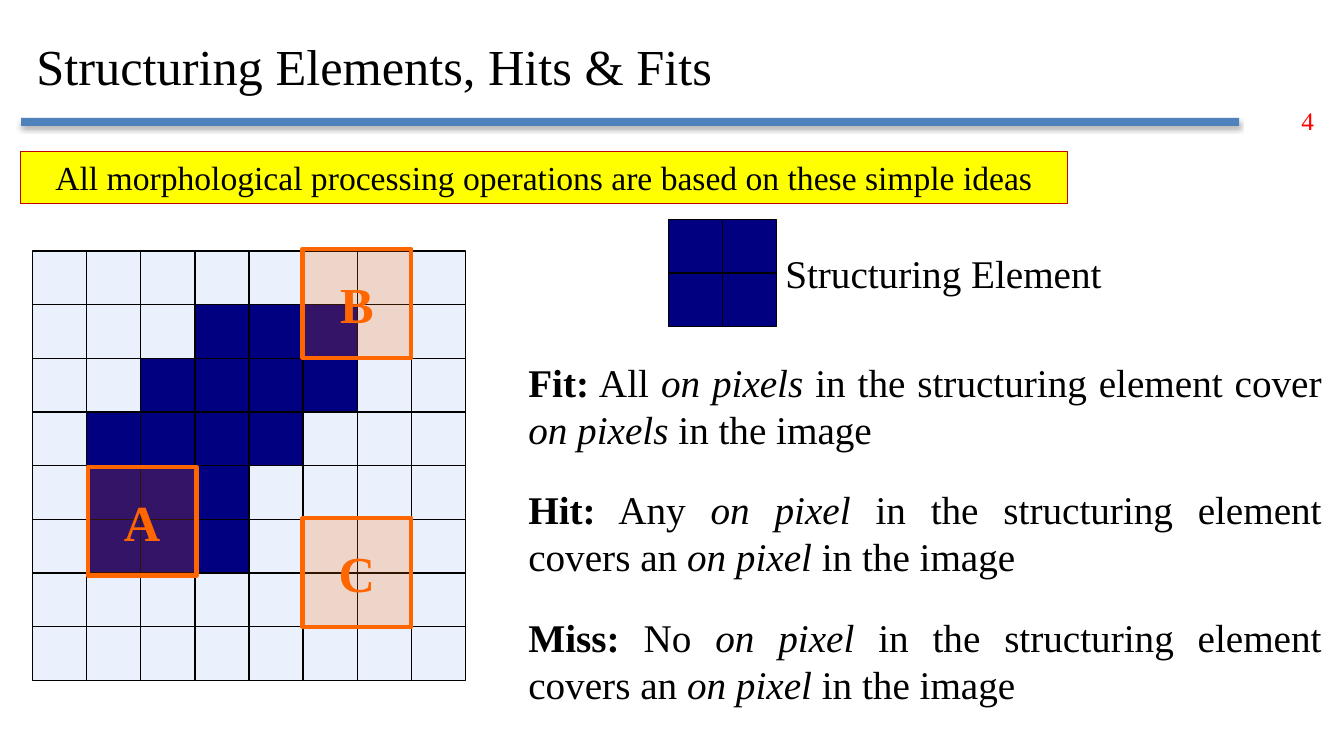
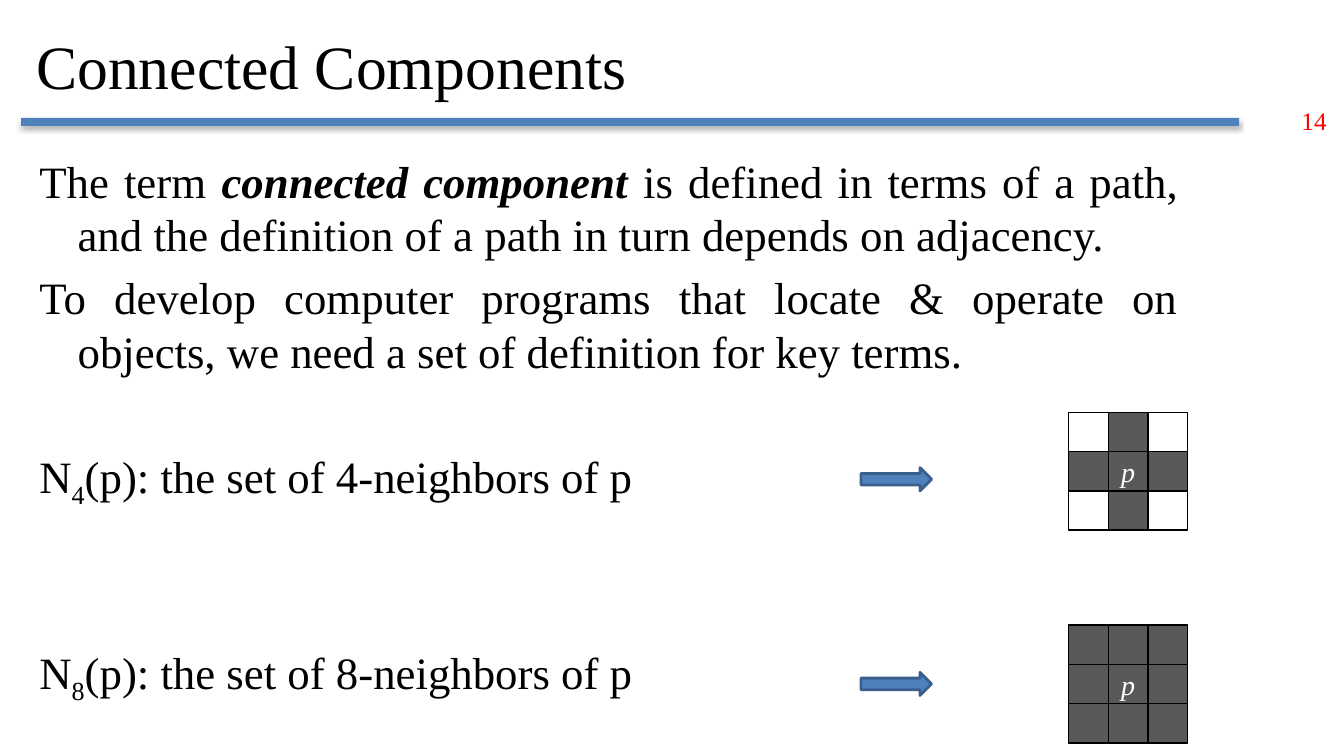
from lxml import etree
from pptx import Presentation
from pptx.dml.color import RGBColor
from pptx.enum.shapes import MSO_SHAPE as SHAPE
from pptx.enum.text import MSO_ANCHOR as ANCHOR, MSO_AUTO_SIZE as AUTO_SIZE, PP_ALIGN as ALIGN
from pptx.oxml import parse_xml
from pptx.oxml.ns import nsdecls, qn
from pptx.util import Inches, Pt

FONT = "Times New Roman"
BLACK, WHITE, RED, YELLOW = "000000", "FFFFFF", "FF0000", "FFFF00"
BLUE, DARK_BLUE = "4F81BD", "3A5F8C"
NAVY, PALE, ORANGE, GRAY = "000080", "EAF1FC", "FF6600", "595959"
BANNER_EDGE = "C00000"


def rgb(color):
    return RGBColor.from_string(color)


class Deck:
    """Holds the shared style and the slide being built."""

    def __init__(self):
        self.presentation = Presentation()
        self.presentation.slide_width = Inches(13.33)
        self.presentation.slide_height = Inches(7.5)
        self.slide = None

    def new_slide(self, heading, number, heading_size):
        """Start a slide with its title, shadowed rule and page number."""
        layout = self.presentation.slide_layouts[1]
        self.slide = self.presentation.slides.add_slide(layout)
        rule = self.shape(SHAPE.RECTANGLE, 0.21, 1.17, 12.08, 0.08, BLUE)
        self.add_shadow(rule)
        self.text(12.81, 1, 0.5, 0.4, number, 18, RED)
        title = self.slide.shapes.title
        self.place(title, 0.26, 0.14, 11.53, 1.01)
        title.text_frame.vertical_anchor = ANCHOR.MIDDLE
        paragraph = title.text_frame.paragraphs[0]
        paragraph.alignment = ALIGN.LEFT
        self.run(paragraph, heading, heading_size)

    def place(self, item, left, top, width, height):
        item.left, item.top = Inches(left), Inches(top)
        item.width, item.height = Inches(width), Inches(height)

    def run(self, paragraph, text, size, color=BLACK, style=""):
        """Add one run; style may name bold, italic and sub."""
        run = paragraph.add_run()
        run.text = text
        font = run.font
        font.name, font.size = FONT, Pt(size)
        font.color.rgb = rgb(color)
        font.bold, font.italic = "bold" in style, "italic" in style
        if "sub" in style:
            run._r.get_or_add_rPr().set("baseline", "-25000")

    def shape(self, kind, left, top, width, height, fill, line=None, weight=1, parent=None):
        shapes = (parent or self.slide).shapes
        item = shapes.add_shape(kind, Inches(left), Inches(top), Inches(width), Inches(height))
        item.shadow.inherit = False
        item.fill.solid()
        item.fill.fore_color.rgb = rgb(fill)
        if line:
            item.line.color.rgb = rgb(line)
            item.line.width = Pt(weight)
        else:
            item.line.fill.background()
        return item

    def add_shadow(self, item):
        effects = item._element.spPr.find(qn("a:effectLst"))
        effects.append(parse_xml(
            f'<a:outerShdw {nsdecls("a")} blurRad="44450" dist="27940" dir="5400000" rotWithShape="0">'
            f'<a:srgbClr val="{BLACK}"><a:alpha val="32000"/></a:srgbClr></a:outerShdw>'))

    def label(self, item, text, size, color, style="", wrap=False):
        """Centre a text in a shape."""
        frame = item.text_frame
        frame.word_wrap = wrap
        frame.vertical_anchor = ANCHOR.MIDDLE
        paragraph = frame.paragraphs[0]
        paragraph.alignment = ALIGN.CENTER
        self.run(paragraph, text, size, color, style)

    def text(self, left, top, width, height, text, size, color=BLACK):
        box = self.slide.shapes.add_textbox(Inches(left), Inches(top), Inches(width), Inches(height))
        box.text_frame.word_wrap = False
        self.run(box.text_frame.paragraphs[0], text, size, color)

    def body(self, left, top, width, height, paragraphs, size, hanging=0):
        """Fill the body; each paragraph is (space before, [(text, style), ...])."""
        holder = self.slide.placeholders[1]
        self.place(holder, left, top, width, height)
        frame = holder.text_frame
        frame.auto_size = AUTO_SIZE.NONE
        frame.vertical_anchor = ANCHOR.TOP
        for index, (space, pieces) in enumerate(paragraphs):
            paragraph = frame.add_paragraph() if index else frame.paragraphs[0]
            properties = paragraph._p.get_or_add_pPr()
            properties.set("marL", str(Inches(hanging)))
            properties.set("indent", str(-Inches(hanging)))
            etree.SubElement(properties, qn("a:buNone"))
            paragraph.alignment = ALIGN.JUSTIFY
            paragraph.space_before = Pt(space)
            for text, style in pieces:
                self.run(paragraph, text, size, style=style)

    def pixels(self, left, top, width, height, rows, on, off):
        """Draw a pixel grid: '#' is on, '.' is off, a letter is a labelled on pixel."""
        group = self.slide.shapes.add_group_shape()
        cell_width, cell_height = width / len(rows[0]), height / len(rows)
        for row, marks in enumerate(rows):
            for column, mark in enumerate(marks):
                pixel = self.shape(
                    SHAPE.RECTANGLE, left + column * cell_width, top + row * cell_height,
                    cell_width, cell_height, off if mark == "." else on, BLACK, parent=group)
                if mark.isalpha():
                    self.label(pixel, mark, 20, WHITE, "italic")

    def marker(self, left, top, letter):
        """Draw a translucent structuring element position."""
        item = self.shape(SHAPE.RECTANGLE, left, top, 1.08, 1.08, ORANGE, ORANGE, 3)
        color = item._element.spPr.find(qn("a:solidFill"))[0]
        etree.SubElement(color, qn("a:alpha")).set("val", "20000")
        self.label(item, letter, 36, ORANGE, "bold")


def hits_and_fits(deck):
    deck.new_slide("Structuring Elements, Hits & Fits", "4", 36)
    image_rows = [
        "........",
        "...###..",
        "..####..",
        ".####...",
        ".###....",
        ".###....",
        "........",
        "........",
    ]
    deck.pixels(0.32, 2.49, 4.3, 4.26, image_rows, NAVY, PALE)
    for left, top, letter in [(3, 2.47, "B"), (0.87, 4.63, "A"), (3, 5.14, "C")]:
        deck.marker(left, top, letter)
    deck.pixels(6.63, 2.18, 1.07, 1.06, ["##", "##"], NAVY, PALE)
    deck.text(7.69, 2.42, 3.37, 0.57, "Structuring Element", 28)

    definitions = [
        ("Fit:", " All ", "on pixels", " in the structuring element cover ", "on pixels"),
        ("Hit:", " Any ", "on pixel", " in the structuring element covers an ", "on pixel"),
        ("Miss:", " No ", "on pixel", " in the structuring element covers an ", "on pixel"),
    ]
    styles = ("bold", "", "italic", "", "italic", "")
    paragraphs = [(24 if index else 0, list(zip(words + (" in the image",), styles)))
                  for index, words in enumerate(definitions)]
    deck.body(5.14, 3.5, 8.07, 3.71, paragraphs, 28)

    banner = deck.shape(SHAPE.RECTANGLE, 0.2, 1.5, 10.39, 0.52, YELLOW, BANNER_EDGE, 0.75)
    deck.label(banner, "All morphological processing operations are based on these simple ideas",
               24, BLACK, wrap=True)


def connected_components(deck):
    deck.new_slide("Connected Components", "14", 44)
    paragraphs = [
        (0, [("The term ", ""), ("connected component ", "bold italic"),
             ("is defined in terms of a path, and the definition of a path "
              "in turn depends on adjacency.", "")]),
        (6.4, [("To develop computer programs that locate & operate on objects, "
                "we need a set of definition for key terms.", "")]),
    ]
    for count, space in [("4", 51), ("8", 96)]:
        paragraphs.append((space, [("N", ""), (count, "sub"),
                                   (f"(p): the set of {count}-neighbors of p", "")]))
    deck.body(0.29, 1.47, 11.5, 5.83, paragraphs, 32, hanging=0.38)

    neighborhoods = [(4.64, 4.09, [".#.", "#p#", ".#."]), (6.67, 6.2, ["###", "#p#", "###"])]
    for arrow_top, grid_top, rows in neighborhoods:
        deck.shape(SHAPE.RIGHT_ARROW, 8.54, arrow_top, 0.7, 0.23, BLUE, DARK_BLUE, 2)
        deck.pixels(10.6, grid_top, 1.18, 1.17, rows, GRAY, WHITE)


def main():
    deck = Deck()
    hits_and_fits(deck)
    connected_components(deck)
    deck.presentation.save("out.pptx")


if __name__ == "__main__":
    main()
